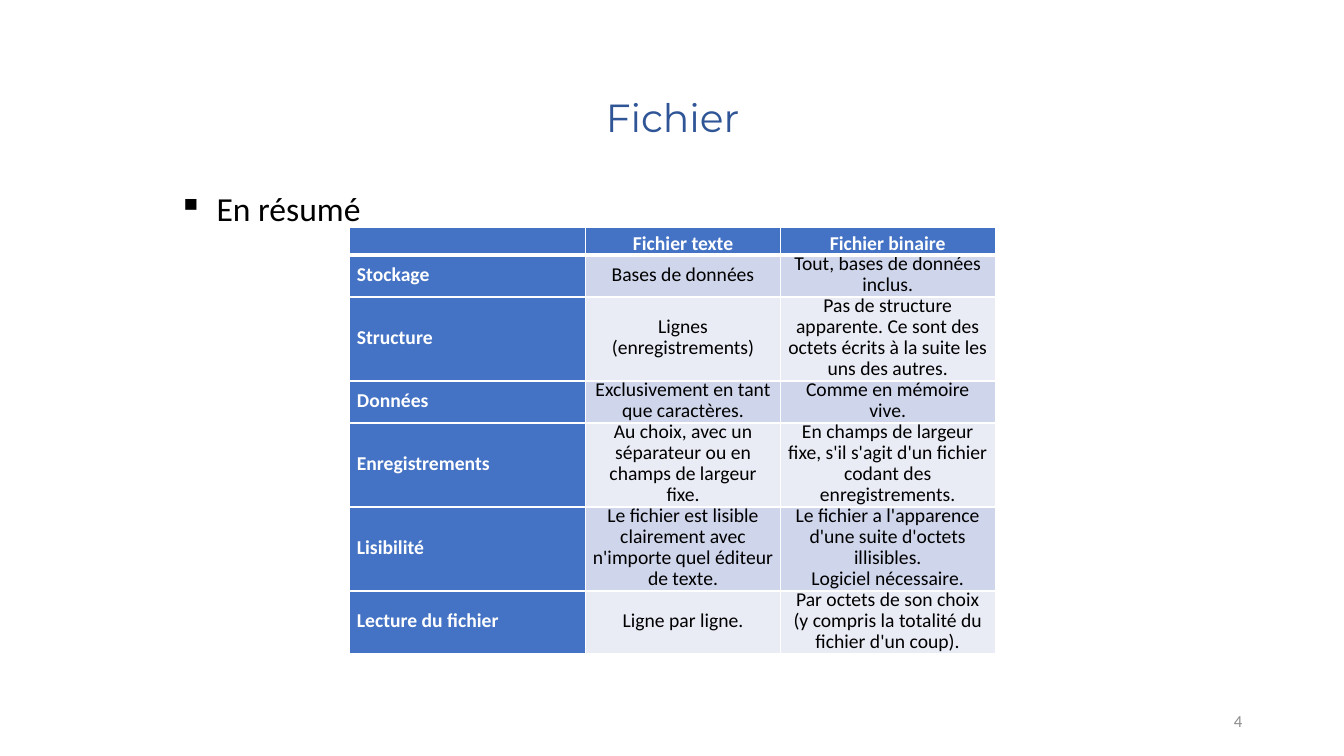
import dataclasses

import lxml.etree
import pptx
import pptx.dml.color
import pptx.enum.text
import pptx.oxml.ns
import pptx.util

Inches = pptx.util.Inches
Pt = pptx.util.Pt
Align = pptx.enum.text.PP_ALIGN
Anchor = pptx.enum.text.MSO_ANCHOR
qn = pptx.oxml.ns.qn


@dataclasses.dataclass(frozen=True)
class Theme:
    title_font: str = "Montserrat"
    body_font: str = "Calibri"
    title_size: int = 28
    summary_size: int = 24
    cell_size: int = 14
    number_size: int = 12
    cell_leading: int = 15
    title: str = "2F5597"
    text: str = "000000"
    muted: str = "8C8C8C"
    white: str = "FFFFFF"
    accent: str = "4472C4"
    bands: tuple = ("CFD5EA", "E9EBF5")


THEME = Theme()

COLUMN_WIDTHS = (2.34, 1.93, 2.13)
HEADER_HEIGHT = 0.27
HEADINGS = ("", "Fichier texte", "Fichier binaire")
COMPARISON = (
    (2, "Stockage", "Bases de données", "Tout, bases de données inclus."),
    (4, "Structure", "Lignes (enregistrements)",
     "Pas de structure apparente. Ce sont des octets écrits à la suite les uns des autres."),
    (2, "Données", "Exclusivement en tant que caractères.", "Comme en mémoire vive."),
    (4, "Enregistrements", "Au choix, avec un séparateur ou en champs de largeur fixe.",
     "En champs de largeur fixe, s'il s'agit d'un fichier codant des enregistrements."),
    (4, "Lisibilité", "Le fichier est lisible clairement avec n'importe quel éditeur de texte.",
     "Le fichier a l'apparence d'une suite d'octets illisibles.\nLogiciel nécessaire."),
    (3, "Lecture du fichier", "Ligne par ligne.",
     "Par octets de son choix (y compris la totalité du fichier d'un coup)."),
)


def rgb(color):
    return pptx.dml.color.RGBColor.from_string(color)


def write(frame, text, size, color, font=THEME.body_font, bold=False,
          align=Align.LEFT, spacing=1.0):
    frame.text = text
    frame.word_wrap = True
    for paragraph in frame.paragraphs:
        paragraph.alignment = align
        paragraph.line_spacing = spacing
        for run in paragraph.runs:
            run.font.name = font
            run.font.size = Pt(size)
            run.font.bold = bold
            run.font.color.rgb = rgb(color)


def add_title(slide, left, top, width, height):
    title = slide.shapes.title
    title.left, title.top = Inches(left), Inches(top)
    title.width, title.height = Inches(width), Inches(height)
    frame = title.text_frame
    write(frame, "Fichier", THEME.title_size, THEME.title, THEME.title_font,
          align=Align.CENTER, spacing=0.9)
    frame.vertical_anchor = Anchor.BOTTOM
    frame.auto_size = pptx.enum.text.MSO_AUTO_SIZE.NONE


def add_summary(slide, left, top, width, height):
    summary = slide.shapes.add_textbox(
        Inches(left), Inches(top), Inches(width), Inches(height))
    write(summary.text_frame, "En résumé", THEME.summary_size, THEME.text, spacing=0.9)
    paragraph = summary.text_frame.paragraphs[0]
    paragraph.space_before = Pt(10)
    properties = paragraph._p.get_or_add_pPr()
    properties.set("marL", str(Inches(0.38)))
    properties.set("indent", str(Inches(-0.38)))
    lxml.etree.SubElement(properties, qn("a:buChar"), char="▪")


def add_page_number(slide, left, top, width, height):
    number = slide.shapes.add_textbox(
        Inches(left), Inches(top), Inches(width), Inches(height))
    write(number.text_frame, "4", THEME.number_size, THEME.muted, align=Align.RIGHT)
    number.text_frame.vertical_anchor = Anchor.MIDDLE


def set_borders(cell, bottom, top):
    properties = cell._tc.get_or_add_tcPr()
    for side, weight in (("L", 1), ("R", 1), ("T", top), ("B", bottom)):
        line = lxml.etree.SubElement(properties, qn(f"a:ln{side}"), w=str(Pt(weight)))
        fill = lxml.etree.SubElement(line, qn("a:solidFill"))
        lxml.etree.SubElement(fill, qn("a:srgbClr"), val=THEME.white)


def fill_cell(cell, text, row, column):
    is_header = row == 0
    is_label = is_header or column == 0
    set_borders(cell, bottom=3 if is_header else 1, top=3 if row == 1 else 1)
    cell.fill.solid()
    cell.fill.fore_color.rgb = rgb(THEME.accent if is_label else THEME.bands[(row - 1) % 2])
    cell.margin_left = cell.margin_right = Inches(0.07)
    cell.margin_top = cell.margin_bottom = 0
    cell.vertical_anchor = Anchor.TOP if is_header else Anchor.MIDDLE
    write(cell.text_frame, text, THEME.cell_size,
          THEME.white if is_label else THEME.text, bold=is_label,
          align=Align.LEFT if column == 0 else Align.CENTER,
          spacing=1.15 if is_header else Pt(THEME.cell_leading))
    if not text:
        lxml.etree.SubElement(cell.text_frame.paragraphs[0]._p, qn("a:endParaRPr"),
                              sz=str(THEME.cell_size * 100))


def add_comparison(slide, left, top, width, height):
    rows = [HEADINGS] + [texts for _, *texts in COMPARISON]
    heights = [HEADER_HEIGHT] + [
        lines * THEME.cell_leading / 72 for lines, *_ in COMPARISON]
    table = slide.shapes.add_table(
        len(rows), len(COLUMN_WIDTHS),
        Inches(left), Inches(top), Inches(width), Inches(height)).table
    for column, share in zip(table.columns, COLUMN_WIDTHS):
        column.width = Inches(width * share / sum(COLUMN_WIDTHS))
    for row, (texts, row_height) in enumerate(zip(rows, heights)):
        table.rows[row].height = Inches(row_height)
        for column, text in enumerate(texts):
            fill_cell(table.cell(row, column), text, row, column)


def main():
    deck = pptx.Presentation()
    deck.slide_width, deck.slide_height = Inches(13.33), Inches(7.5)
    slide = deck.slides.add_slide(deck.slide_layouts[5])
    add_title(slide, 1.67, 0.56, 10, 0.89)
    add_summary(slide, 1.67, 1.86, 10, 5.05)
    add_page_number(slide, 9.42, 6.95, 3, 0.4)
    add_comparison(slide, 3.47, 2.26, 6.4, 4.23)
    deck.save("out.pptx")


if __name__ == "__main__":
    main()
